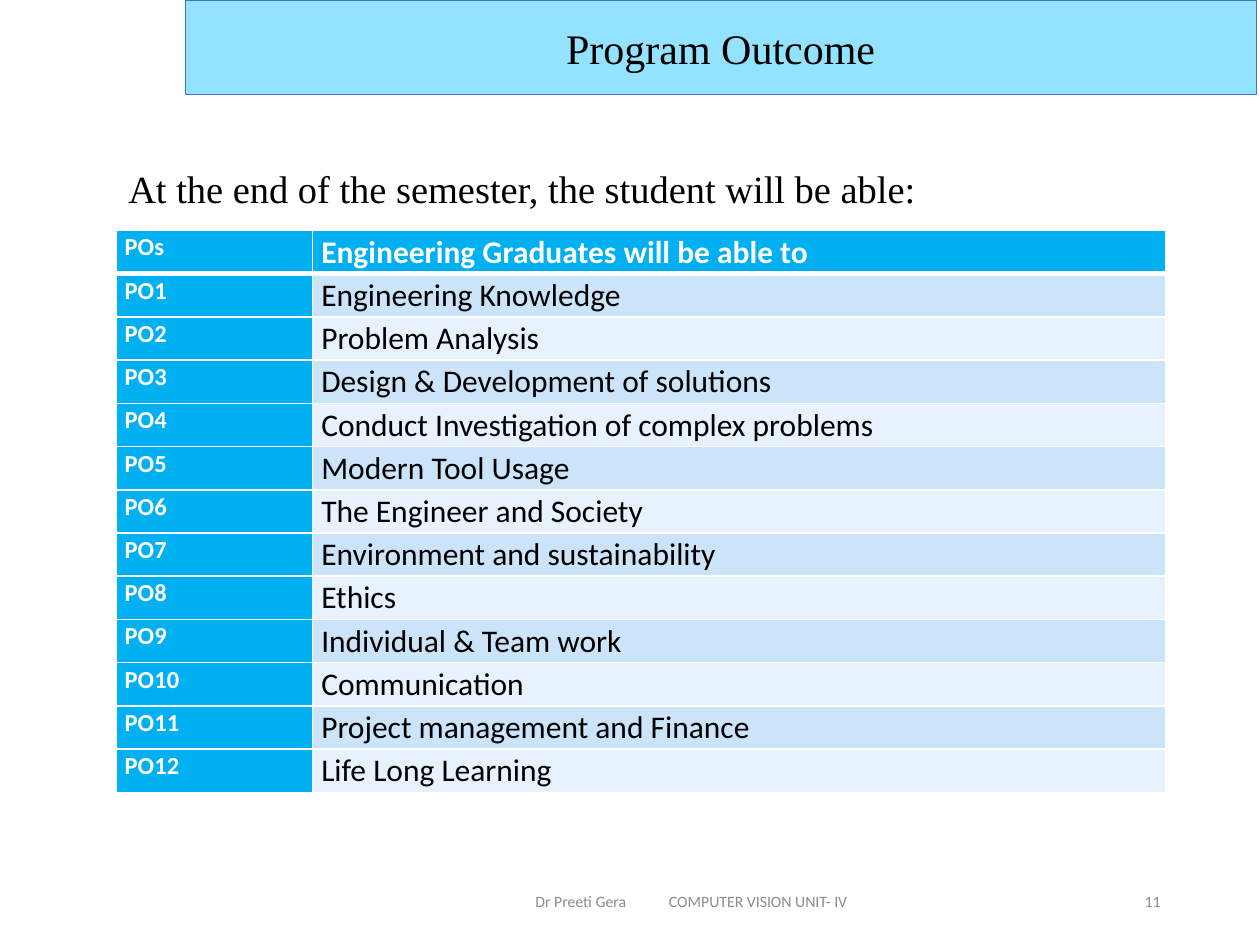
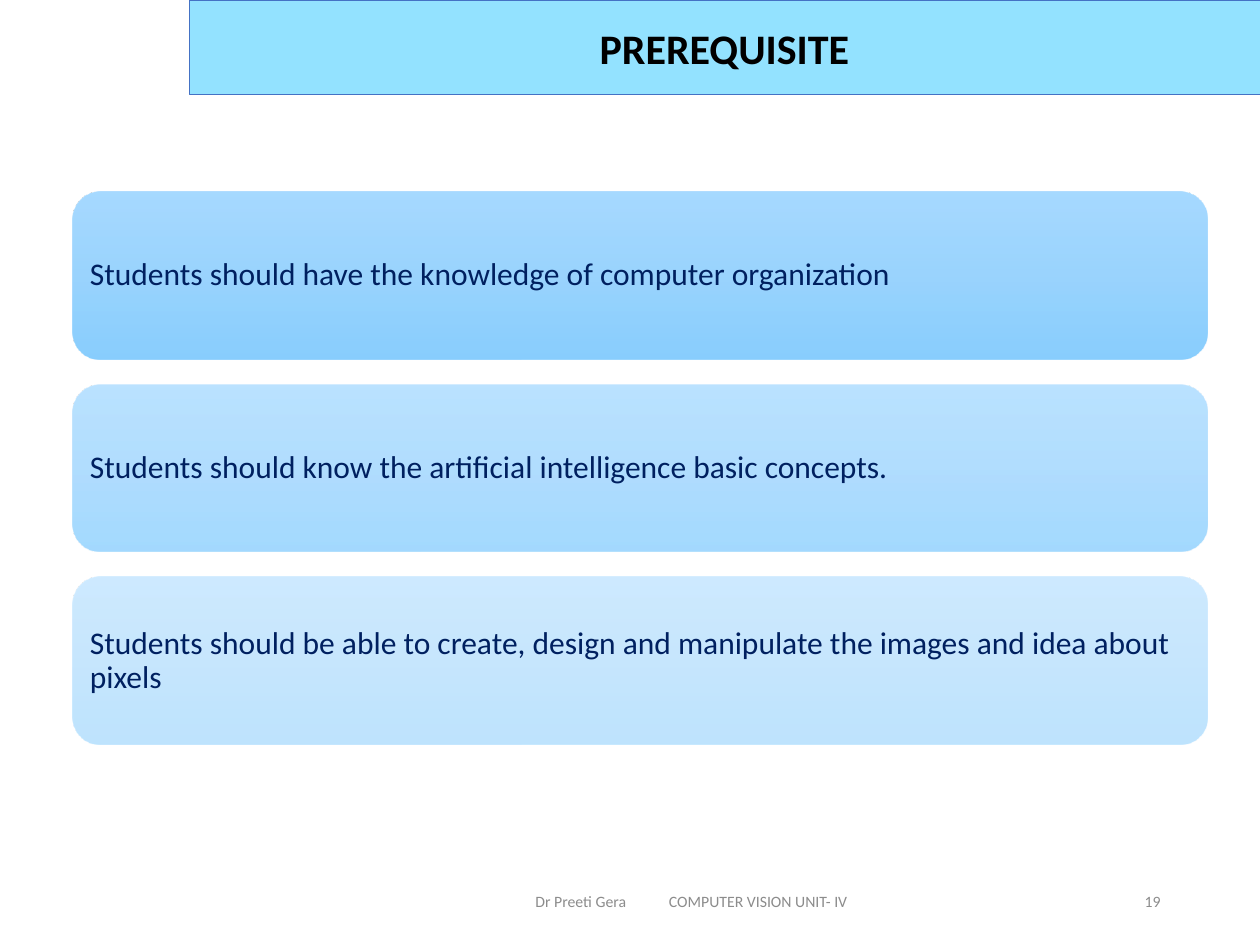
from pptx import Presentation
from pptx.dml.color import RGBColor
from pptx.enum.shapes import MSO_SHAPE
from pptx.enum.text import MSO_ANCHOR, PP_ALIGN
from pptx.oxml import parse_xml
from pptx.oxml.ns import nsdecls, qn
from pptx.util import Inches, Pt

COLORS = {
    "band": "93E2FF", "band_line": "4472C4", "text": "000000",
    "footer": "8C8C8C", "white": "FFFFFF", "head": "00B0F0",
    "row_dark": "CCE4F9", "row_light": "E7F2FC", "card_text": "002060",
    "card_top": "9ED6FF", "card_mid": "90CFFD", "card_bottom": "7CC9FD",
}
SANS, SERIF = "Calibri", "Times New Roman"

OUTCOMES = [
    "Engineering Knowledge", "Problem Analysis",
    "Design & Development of solutions",
    "Conduct Investigation of complex problems", "Modern Tool Usage",
    "The Engineer and Society", "Environment and sustainability", "Ethics",
    "Individual & Team work", "Communication",
    "Project management and Finance", "Life Long Learning",
]
PREREQUISITES = [
    "Students should have the knowledge of computer organization",
    "Students should know the artificial intelligence basic concepts.",
    "Students should be able to create, design and manipulate the images "
    "and idea about pixels",
]


def rgb(name):
    """Return the named colour."""
    return RGBColor.from_string(COLORS[name])


def style(p, size, color, font=SANS, bold=False, align=PP_ALIGN.LEFT):
    """Format a whole paragraph."""
    p.alignment = align
    p.font.size, p.font.name, p.font.bold = Pt(size), font, bold
    p.font.color.rgb = rgb(color)


def add_text(s, text, left, top, width, height, anchor=MSO_ANCHOR.MIDDLE):
    """Add a wrapping text box and return its frame."""
    tf = s.shapes.add_textbox(*map(Inches, (left, top, width, height))).text_frame
    tf.word_wrap, tf.vertical_anchor = True, anchor
    tf.text = text
    return tf


def add_title(s, text, left, font, bold):
    """Turn the title placeholder into the top band."""
    title = s.shapes.title
    title.left, title.top = Inches(left), Inches(0)
    title.width, title.height = Inches(8.5), Inches(0.75)
    title.fill.solid()
    title.fill.fore_color.rgb = rgb("band")
    title.line.color.rgb = rgb("band_line")
    title.line.width = Pt(0.5)
    tf = title.text_frame
    tf.text, tf.vertical_anchor = text, MSO_ANCHOR.MIDDLE
    style(tf.paragraphs[0], 24, "text", font, bold, PP_ALIGN.CENTER)


def add_footer(s, number):
    """Add the author, the course and the slide number."""
    tf = add_text(s, "Dr Preeti Gera\tCOMPUTER VISION UNIT- IV", 2.75, 6.95, 5.5, 0.4)
    tf.margin_left = Inches(1.5)
    p = tf.paragraphs[0]
    p._p.get_or_add_pPr().append(parse_xml(
        f'<a:tabLst {nsdecls("a")}><a:tab pos="{Inches(1.06)}" algn="l"/></a:tabLst>'))
    style(p, 9, "footer")
    tf = add_text(s, str(number), 7.06, 6.95, 2.25, 0.4)
    style(tf.paragraphs[0], 9, "footer", align=PP_ALIGN.RIGHT)


def add_slide(prs, title, number, left, font, bold=False):
    """Add a slide with the shared band and footer."""
    s = prs.slides.add_slide(prs.slide_layouts[5])
    add_title(s, title, left, font, bold)
    add_footer(s, number)
    return s


def set_cell(cell, text, size, color, bold, fill, bottom):
    """Fill a table cell and draw its white borders."""
    tc_pr = cell._tc.get_or_add_tcPr()
    for side, width in (("L", 1), ("R", 1), ("T", 1), ("B", bottom)):
        tc_pr.append(parse_xml(
            f'<a:ln{side} {nsdecls("a")} w="{Pt(width)}"><a:solidFill>'
            f'<a:srgbClr val="{COLORS["white"]}"/></a:solidFill></a:ln{side}>'))
    cell.fill.solid()
    cell.fill.fore_color.rgb = rgb(fill)
    cell.margin_left = cell.margin_right = Inches(0.07)
    cell.margin_top = cell.margin_bottom = 0
    cell.text = text
    p = cell.text_frame.paragraphs[0]
    p.line_spacing = 1.07
    style(p, size, color, bold=bold)


def add_outcome_table(s, left, top, width, height):
    """Add the table of numbered program outcomes."""
    rows = [("POs", "Engineering Graduates will be able to")]
    rows += [(f"PO{i}", text) for i, text in enumerate(OUTCOMES, 1)]
    table = s.shapes.add_table(
        len(rows), 2, *map(Inches, (left, top, width, height))).table
    table.columns[0].width = Inches(1.56)
    table.columns[1].width = Inches(width - 1.56)
    for i, (code, outcome) in enumerate(rows):
        bottom = 1 if i else 3
        set_cell(table.cell(i, 0), code, 14, "white", True, "head", bottom)
        fill = ("row_dark" if i % 2 else "row_light") if i else "head"
        set_cell(table.cell(i, 1), outcome, 18, "text" if i else "white",
                 i == 0, fill, bottom)


def set_gradient(shape, alpha):
    """Give a shape the downward blue gradient at an opacity in percent."""
    shape.fill.background()
    stops = "".join(
        f'<a:gs pos="{pos * 1000}"><a:srgbClr val="{COLORS[name]}">'
        f'<a:alpha val="{alpha * 1000}"/></a:srgbClr></a:gs>'
        for pos, name in ((0, "card_top"), (50, "card_mid"), (100, "card_bottom")))
    sp_pr = shape._element.spPr
    sp_pr.replace(sp_pr.find(qn("a:noFill")), parse_xml(
        f'<a:gradFill {nsdecls("a")} rotWithShape="1"><a:gsLst>{stops}</a:gsLst>'
        '<a:lin ang="5400000" scaled="0"/></a:gradFill>'))


def add_cards(s, left, top, width, height, gap):
    """Stack one fading card for each prerequisite."""
    for i, text in enumerate(PREREQUISITES):
        card = s.shapes.add_shape(
            MSO_SHAPE.ROUNDED_RECTANGLE,
            *map(Inches, (left, top + i * (height + gap), width, height)))
        card.shadow.inherit = False
        set_gradient(card, 90 - 20 * i)
        card.line.fill.background()
        tf = card.text_frame
        tf.word_wrap, tf.vertical_anchor = True, MSO_ANCHOR.MIDDLE
        tf.margin_left = tf.margin_right = Inches(0.07)
        tf.margin_top = tf.margin_bottom = Inches(0.07)
        tf.text = text
        p = tf.paragraphs[0]
        p.line_spacing = 0.9
        style(p, 18, "card_text")


def outcome_slide(prs):
    """Build the program outcome slide."""
    s = add_slide(prs, "Program Outcome", 11, 1.47, SERIF)
    tf = add_text(s, "At the end of the semester, the student will be able:",
                  0.92, 1.21, 8.5, 0.5, MSO_ANCHOR.TOP)
    p = tf.paragraphs[0]
    p.line_spacing = 1.15
    style(p, 22, "text", SERIF)
    add_outcome_table(s, 0.92, 1.83, 8.33, 4.46)


def prerequisite_slide(prs):
    """Build the prerequisite slide."""
    s = add_slide(prs, "PREREQUISITE", 19, 1.5, SANS, True)
    add_cards(s, 0.58, 1.52, 9, 1.33, 0.2)


def main():
    """Build and save the presentation."""
    prs = Presentation()
    prs.slide_width, prs.slide_height = Inches(10), Inches(7.5)
    outcome_slide(prs)
    prerequisite_slide(prs)
    prs.save("out.pptx")


if __name__ == "__main__":
    main()
